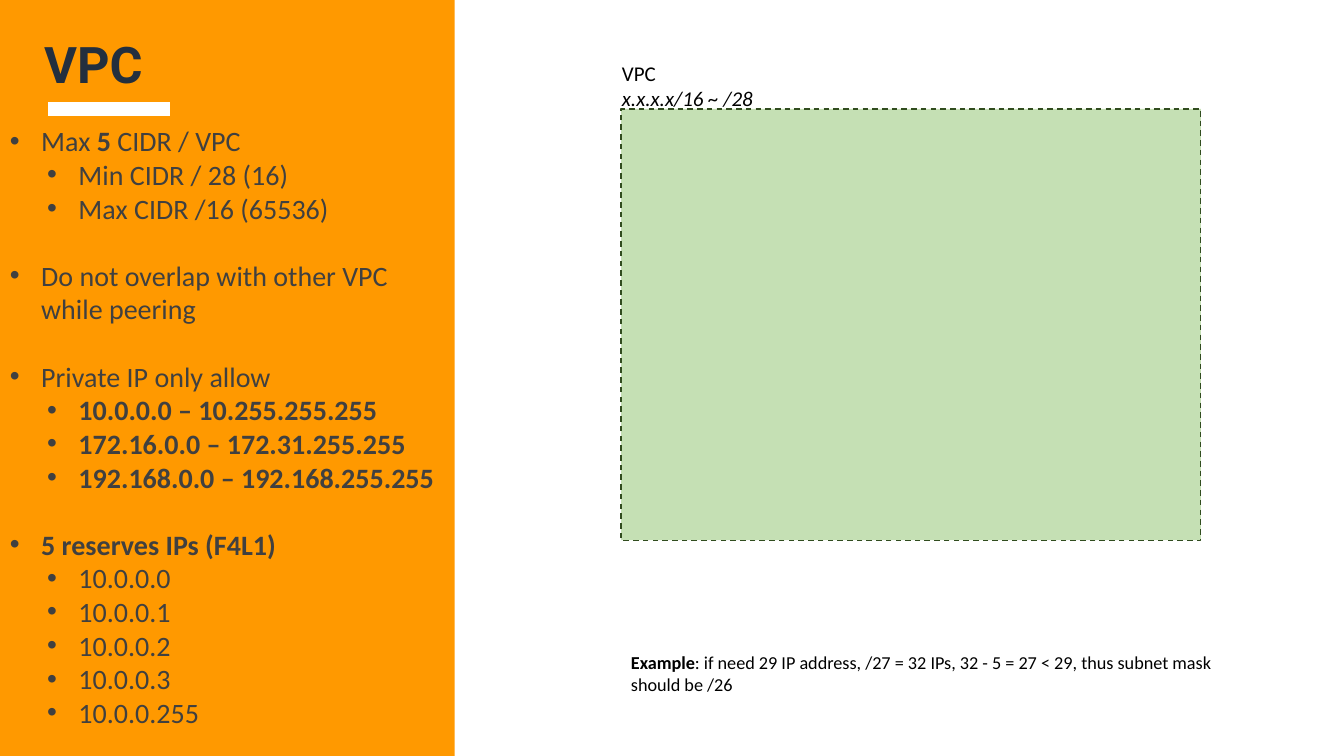
from lxml import etree
from pptx import Presentation
from pptx.dml.color import RGBColor
from pptx.enum.dml import MSO_LINE
from pptx.enum.shapes import MSO_CONNECTOR, MSO_SHAPE
from pptx.oxml.ns import qn
from pptx.util import Pt

PX = 9144  # 100 px to the inch
RECT, STRAIGHT, DASH = MSO_SHAPE.RECTANGLE, MSO_CONNECTOR.STRAIGHT, MSO_LINE.DASH
COLORS = {"panel": "FF9900", "title": "232F3E", "body": "404040", "white": "FFFFFF",
          "green": "C5E0B4", "edge": "314C1F", "black": "000000"}
HUES = {name: RGBColor.from_string(code) for name, code in COLORS.items()}

deck = Presentation()
deck.slide_width, deck.slide_height = 1333 * PX, 750 * PX
slide = deck.slides.add_slide(deck.slide_layouts[6])
shapes = slide.shapes


def add_rect(left, top, width, height, hue):
    rect = shapes.add_shape(RECT, left * PX, top * PX, width * PX, height * PX)
    rect.shadow.inherit = False
    rect.fill.solid()
    rect.fill.fore_color.rgb = HUES[hue]
    rect.line.fill.background()
    return rect


def add_text(box, lines, size, hue, face="Calibri", wrap=True):
    """Fill a new text box; each line is a list of (text, bold) runs."""
    frame = shapes.add_textbox(*(n * PX for n in box)).text_frame
    frame.word_wrap = wrap
    for i, runs in enumerate(lines):
        para = frame.add_paragraph() if i else frame.paragraphs[0]
        font = para.font
        font.name, font.size, font.color.rgb = face, Pt(size), HUES[hue]
        if len(runs) == 1:
            font.bold = runs[0][1]
        for text, bold in runs:
            run = para.add_run()
            run.text = text
            if len(runs) > 1:
                run.font.bold = bold
    return frame


# Left panel with title
add_rect(0, 0, 451, 750, "panel")
add_text((34, 28, 280, 71), [[("VPC", True)]], 36, "title", "Roboto")
rule = shapes.add_connector(STRAIGHT, 48 * PX, 108 * PX, 169 * PX, 108 * PX)
rule.line.color.rgb = HUES["white"]
rule.line.width = Pt(10)
etree.SubElement(rule._element.spPr, qn("a:effectLst"))

# Bullets: each group is a head and its sub-items
GROUPS = [
    ([("Max ", False), ("5", True), (" CIDR / VPC", False)], False,
     ["Min CIDR / 28 (16)", "Max CIDR /16 (65536)"]),
    ([("Do not overlap with other VPC while peering", False)], False, []),
    ([("Private IP only allow", False)], True,
     ["10.0.0.0 – 10.255.255.255", "172.16.0.0 – 172.31.255.255",
      "192.168.0.0 – 192.168.255.255"]),
    ([("5 reserves IPs (F4L1)", True)], False,
     ["10.0.0.0", "10.0.0.1", "10.0.0.2", "10.0.0.3", "10.0.0.255"]),
]
lines, levels = [], []
for head, bold, items in GROUPS:
    lines += [head] + [[(item, bold)] for item in items]
    levels += [0] + [1] * len(items)
notes = add_text((0, 118, 442, 616), lines, 20, "body")
notes.margin_right = 5 * PX
for i, (para, level) in enumerate(zip(notes.paragraphs, levels)):
    para.level = level
    para.line_spacing = Pt(24)
    if i and level == 0:
        para.space_before = Pt(24)
    props = para._p.get_or_add_pPr()
    props.set("marL", str((31 + 37 * level) * PX))
    props.set("indent", str(-31 * PX))
    mark = etree.Element(qn("a:buChar"), char="•")
    font = etree.Element(qn("a:buFont"), typeface="Arial")
    props.find(qn("a:defRPr")).addprevious(font)
    font.addnext(mark)

# Network area on the right
area = add_rect(616, 108, 575, 428, "green")
area.line.color.rgb = HUES["edge"]
area.line.width = Pt(1)
area.line.dash_style = DASH
label = add_text((607, 55, 154, 61), [[("VPC", False)], [("x.x.x.x/16 ~ /28", False)]],
                 15, "black")
label.paragraphs[1].font.italic = True
add_text((616, 641, 610, 76), [
    [("Example", True),
     (": if need 29 IP address, /27 = 32 IPs, 32 - 5 = 27 < 29, thus subnet mask", False)],
    [("should be /26", False)],
], 13, "black", wrap=False)

deck.save("out.pptx")
